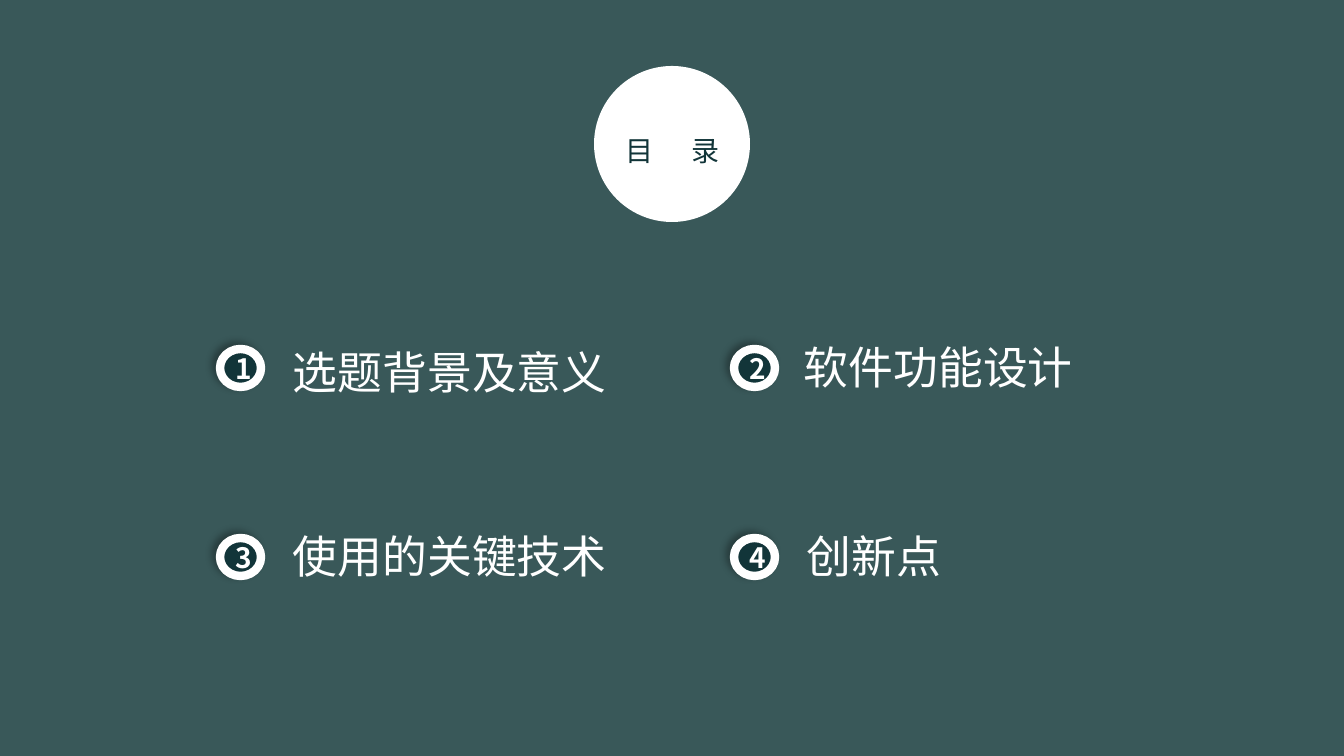
from dataclasses import dataclass

from lxml.etree import SubElement
from pptx import Presentation
from pptx.dml.color import RGBColor
from pptx.enum.shapes import MSO_SHAPE
from pptx.enum.text import MSO_ANCHOR, MSO_AUTO_SIZE, PP_ALIGN
from pptx.oxml.ns import qn
from pptx.util import Pt

PX = 914400 / 100.8  # EMU per px


@dataclass(frozen=True)
class Theme:
    ground: RGBColor = RGBColor(0x39, 0x58, 0x59)
    dark: RGBColor = RGBColor(0x12, 0x35, 0x39)
    white: RGBColor = RGBColor(0xFF, 0xFF, 0xFF)
    font: str = "Noto Sans CJK SC"
    small: Pt = Pt(20)
    large: Pt = Pt(32)
    ring: Pt = Pt(6)
    title_gap: int = 1120  # hundredths of a point


THEME = Theme()

# Topic and the px by which its label departs from the regular place
TOPICS = [
    ("选题背景及意义", 0, 5),
    ("软件功能设计", -3, 0),
    ("使用的关键技术", 0, 0),
    ("创新点", 0, 0),
]


def emu(*lengths):
    return [round(length * PX) for length in lengths]


def set_all(target, values):
    for name, value in values.items():
        setattr(target, name, value)


def write(holder, pieces, align, anchor, **font):
    """Write one paragraph from (text, letter spacing) pieces."""
    frame = holder.text_frame
    set_all(frame, {"word_wrap": True, "vertical_anchor": anchor,
                    "auto_size": MSO_AUTO_SIZE.NONE})
    paragraph = frame.paragraphs[0]
    paragraph.alignment = align
    color = font.pop("color")
    for text, spacing in pieces:
        run = paragraph.add_run()
        run.text = text
        set_all(run.font, {"name": THEME.font, **font})
        run.font.color.rgb = color
        properties = run._r.get_or_add_rPr()
        SubElement(properties, qn("a:ea"), typeface=THEME.font)
        if spacing:
            properties.set("spc", str(spacing))


def add_disc(slide, box, fill):
    disc = slide.shapes.add_shape(MSO_SHAPE.OVAL, *emu(*box))
    disc.shadow.inherit = False
    disc.fill.solid()
    disc.fill.fore_color.rgb = fill
    disc.line.fill.background()
    return disc


def add_shadow(disc):
    effects = disc._element.spPr.find(qn("a:effectLst"))
    shadow = SubElement(effects, qn("a:outerShdw"), blurRad=str(Pt(5.1)),
                        dist=str(Pt(4)), dir=str(215 * 60000),
                        algn="ctr", rotWithShape="0")
    black = SubElement(shadow, qn("a:srgbClr"), val="000000")
    SubElement(black, qn("a:alpha"), val="30000")


def heading(slide, left, top, size):
    """White disc with the slide title across it."""
    add_disc(slide, (left, top, size, size), THEME.white)
    title = slide.shapes.title
    places = emu(left - 12, top + 62, size + 25, 44)
    set_all(title, dict(zip(("left", "top", "width", "height"), places)))
    write(title, [("目 ", THEME.title_gap), ("录", 0)], PP_ALIGN.CENTER,
          MSO_ANCHOR.TOP, size=THEME.small, color=THEME.dark)
    slide.shapes._spTree.append(title._element)  # bring in front of the disc


def topic_entry(slide, left, top, number, topic, shift_x, shift_y, width):
    """Numbered badge with its topic on the right."""
    badge = add_disc(slide, (left, top, 41, 38), THEME.dark)
    badge.line.color.rgb = THEME.white
    badge.line.width = THEME.ring
    add_shadow(badge)
    write(badge, [(str(number), 0)], PP_ALIGN.CENTER, MSO_ANCHOR.MIDDLE,
          size=THEME.small, bold=True, color=THEME.white)
    label = slide.shapes.add_textbox(
        *emu(left + 63 + shift_x, top - 14 + shift_y, width, 65))
    write(label, [(topic, 0)], PP_ALIGN.JUSTIFY, MSO_ANCHOR.TOP,
          size=THEME.large, color=THEME.white)


def topic_grid(slide, left, top, column_step, row_step):
    """Two columns of entries, filled row by row."""
    for index, (topic, shift_x, shift_y) in enumerate(TOPICS):
        row, column = divmod(index, 2)
        topic_entry(slide, left + column * column_step, top + row * row_step,
                    index + 1, topic, shift_x, shift_y, (427, 390)[column])


def contents_slide(deck):
    slide = deck.slides.add_slide(deck.slide_layouts[5])  # title only
    slide.background.fill.solid()
    slide.background.fill.fore_color.rgb = THEME.ground
    heading(slide, 594, 66, 156)
    topic_grid(slide, 220, 349, 514, 189)


def main():
    deck = Presentation()
    deck.slide_width, deck.slide_height = emu(1344, 756)
    contents_slide(deck)
    deck.save("out.pptx")


if __name__ == "__main__":
    main()
